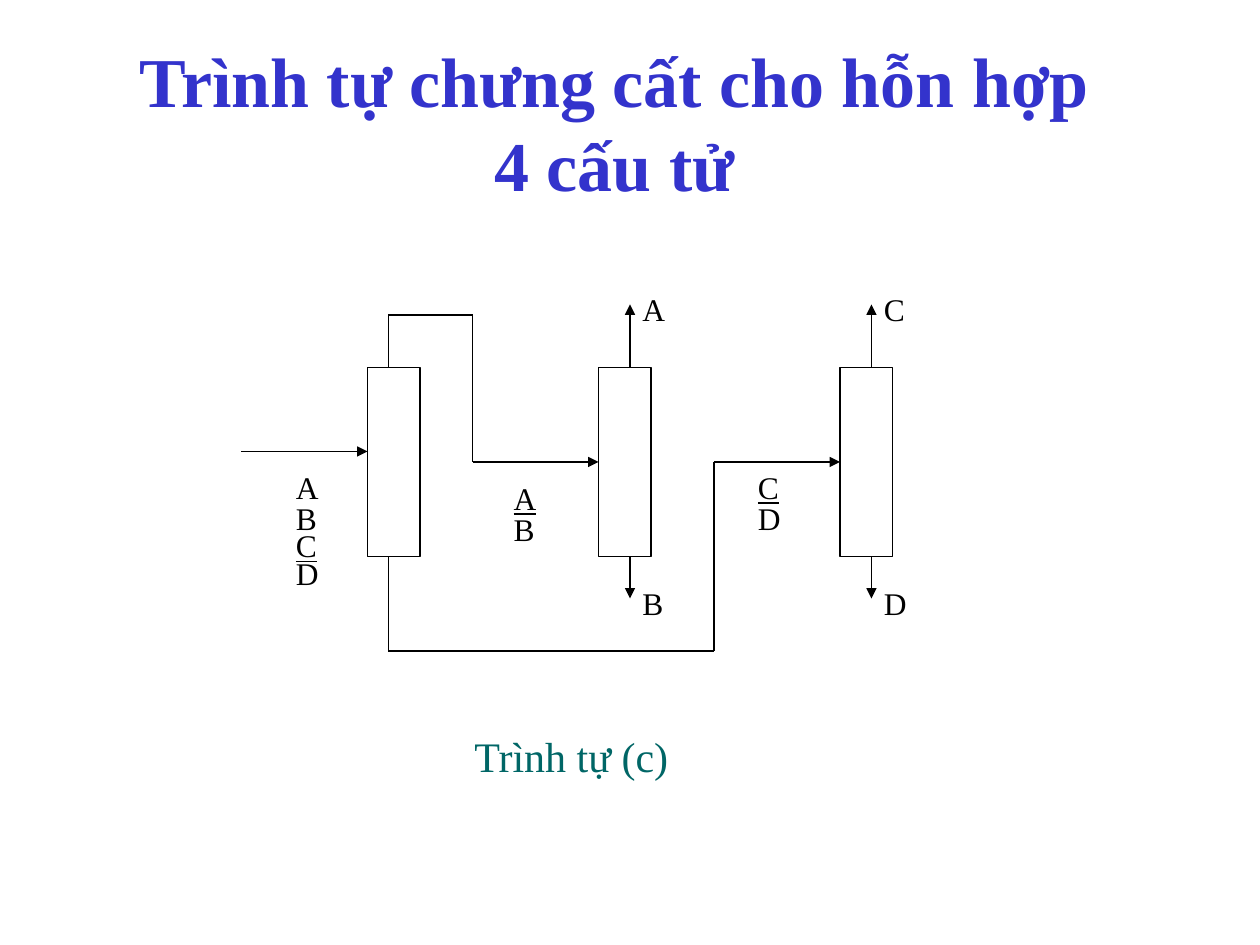
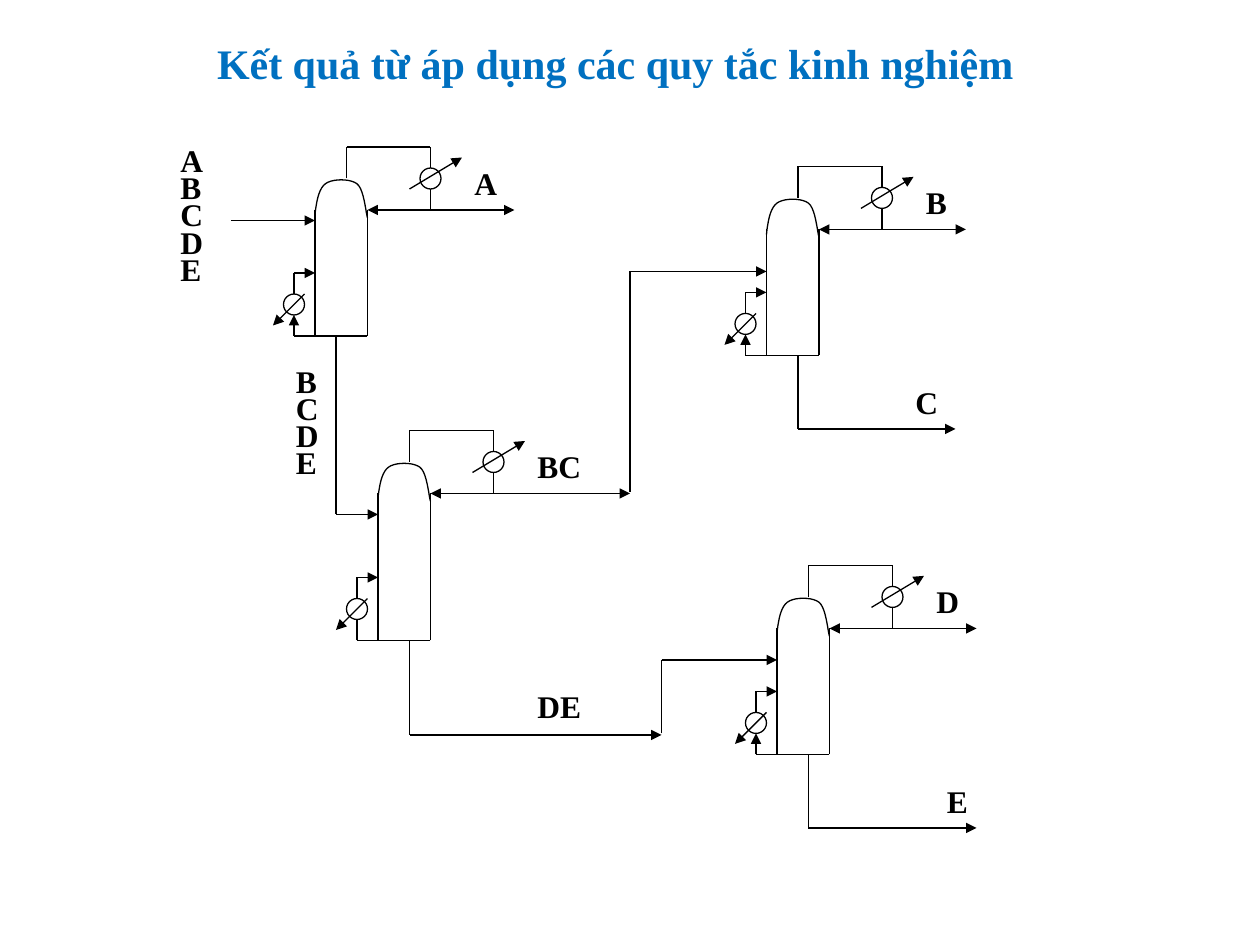
from dataclasses import dataclass
from itertools import pairwise

from lxml.etree import SubElement
from pptx import Presentation
from pptx.dml.color import RGBColor
from pptx.enum.shapes import MSO_CONNECTOR, MSO_SHAPE
from pptx.enum.text import MSO_ANCHOR, MSO_AUTO_SIZE, PP_ALIGN
from pptx.oxml.ns import qn
from pptx.util import Inches, Pt

GRID_COLS, GRID_ROWS = 120, 90
TITLE_ONLY = 5


@dataclass(frozen=True)
class Theme:
    font: str = "Times New Roman"
    ink: str = "000000"
    paper: str = "FFFFFF"
    heading: str = "3333CC"
    result: str = "0070C0"
    caption: str = "006666"
    heading_size: int = 40
    caption_size: int = 24
    label_size: int = 18
    line_width: float = 0.75
    stack_gap: int = 9
    stack_spacing: float = 0.3


def bezier(start, control_1, control_2, end, steps=10):
    """Points after start along a cubic curve."""
    curve = []
    for step in range(1, steps + 1):
        t = step / steps
        weights = ((1 - t) ** 3, 3 * t * (1 - t) ** 2, 3 * t * t * (1 - t), t ** 3)
        curve.append(tuple(
            sum(weight * value for weight, value in zip(weights, values))
            for values in zip(start, control_1, control_2, end)))
    return curve


class Flowsheet:
    """Draws on the current slide, in columns and rows of the grid."""

    def __init__(self, theme):
        self.theme = theme
        self.deck = Presentation()
        self.deck.slide_width, self.deck.slide_height = Inches(10), Inches(7.5)
        self.cell_width = self.deck.slide_width / GRID_COLS
        self.cell_height = self.deck.slide_height / GRID_ROWS
        self.slide = None

    def place(self, *lengths):
        """Turn alternating columns and rows into slide lengths."""
        cells = (self.cell_width, self.cell_height)
        return [round(length * cells[i % 2]) for i, length in enumerate(lengths)]

    def new_slide(self, title, box, size, color, wrap=True):
        layout = self.deck.slide_layouts[TITLE_ONLY]
        self.slide = self.deck.slides.add_slide(layout)
        heading = self.slide.shapes.title
        heading.left, heading.top, heading.width, heading.height = self.place(*box)
        self.set_lines(heading.text_frame, [title], size, color, bold=True, wrap=wrap)
        heading.text_frame.paragraphs[0].alignment = PP_ALIGN.CENTER

    def set_lines(self, frame, lines, size, color, bold=False, wrap=True, underlined=None):
        frame_format = {"word_wrap": wrap, "vertical_anchor": MSO_ANCHOR.TOP,
                        "auto_size": MSO_AUTO_SIZE.SHAPE_TO_FIT_TEXT}
        for name, value in frame_format.items():
            setattr(frame, name, value)
        for i, line in enumerate(lines):
            paragraph = frame.paragraphs[0] if i == 0 else frame.add_paragraph()
            run = paragraph.add_run()
            run.text = line
            font_format = {"name": self.theme.font, "size": Pt(size), "bold": bold,
                           "underline": line == underlined}
            for name, value in font_format.items():
                setattr(run.font, name, value)
            run.font.color.rgb = RGBColor.from_string(color)
            if i:
                paragraph.space_before = Pt(self.theme.stack_gap)
                paragraph.line_spacing = self.theme.stack_spacing

    def text(self, words, x, y, width=7, height=4.8, size=None, color=None, bold=False):
        box = self.slide.shapes.add_textbox(*self.place(x, y, width, height))
        self.set_lines(box.text_frame, [words], size or self.theme.label_size,
                       color or self.theme.ink, bold)

    def stack(self, letters, x, y, height, underlined=None, bold=False, tight=False):
        """One letter per line; tight also squeezes the first line."""
        box = self.slide.shapes.add_textbox(*self.place(x, y, 5, height))
        self.set_lines(box.text_frame, letters, self.theme.label_size, self.theme.ink,
                       bold, underlined=underlined)
        if tight:
            box.text_frame.paragraphs[0].line_spacing = self.theme.stack_spacing

    def outline(self, item):
        item.line.color.rgb = RGBColor.from_string(self.theme.ink)
        item.line.width = Pt(self.theme.line_width)

    def shape(self, kind, x, y, width, height):
        item = self.slide.shapes.add_shape(kind, *self.place(x, y, width, height))
        item.shadow.inherit = False
        item.fill.solid()
        item.fill.fore_color.rgb = RGBColor.from_string(self.theme.paper)
        self.outline(item)

    def pipe(self, *points, arrow=True, arrow_back=False):
        """Straight segments through the points, with arrows at the outer ends."""
        segments = list(pairwise(points))
        for i, (start, end) in enumerate(segments):
            segment = self.slide.shapes.add_connector(
                MSO_CONNECTOR.STRAIGHT, *self.place(*start, *end))
            self.outline(segment)
            properties = segment.element.spPr
            ends = {"a:headEnd": arrow_back and i == 0,
                    "a:tailEnd": arrow and i == len(segments) - 1}
            for tag, shown in ends.items():
                if shown:
                    SubElement(properties.find(qn("a:ln")), qn(tag), type="triangle")
            SubElement(properties, qn("a:effectLst"))

    def dome(self, x, y):
        knots = [(0, 3.5), (0.13, 2.3), (0.33, 1), (1, 0.5), (1.67, 0), (3.33, 0),
                 (4, 0.5), (4.67, 1), (4.83, 3.1), (5, 3.75)]
        curve = [knots[0]]
        for i in range(0, 9, 3):
            curve += bezier(*knots[i:i + 4])
        points = [tuple(self.place(x + dx, y + dy)) for dx, dy in curve]
        builder = self.slide.shapes.build_freeform(*points[0])
        builder.add_line_segments(points[1:], close=False)
        cap = builder.convert_to_shape()
        cap.shadow.inherit = False
        cap.fill.background()
        self.outline(cap)

    def tower(self, x, shoulder, base, distillate, run=19, reboiler_arrow=True):
        """Column with condenser, reboiler and distillate line."""
        right, drum, boiler = x + 5, x + 11, x - 2
        self.pipe((x, shoulder), (x, base), (right, base), (right, shoulder), arrow=False)
        self.dome(x, shoulder - 3)

        self.pipe((x, base), (boiler, base), (boiler, base - 2), arrow=reboiler_arrow)
        self.shape(MSO_SHAPE.OVAL, boiler - 1, base - 4, 2, 2)
        self.pipe((boiler, base - 4), (boiler, base - 6), (x, base - 6))
        self.pipe((boiler + 1, base - 4), (boiler - 2, base - 1))

        self.pipe((x + 3, shoulder - 3), (x + 3, shoulder - 6), (drum, shoulder - 6),
                  (drum, shoulder - 4), arrow=False)
        self.shape(MSO_SHAPE.OVAL, drum - 1, shoulder - 4, 2, 2)
        self.pipe((drum, shoulder - 2), (drum, shoulder), arrow=False)
        self.pipe((drum - 2, shoulder - 2), (drum + 3, shoulder - 5))
        self.pipe((right, shoulder), (x + run, shoulder), arrow_back=True)
        self.text(distillate, x + 14, shoulder - 5, bold=True)


def draw_four_component_sequence(sheet):
    theme = sheet.theme
    sheet.new_slide("Trình tự chưng cất cho hỗn hợp 4 cấu tử", (10, 3, 97, 17.4),
                    theme.heading_size, theme.heading)
    top, bottom = 35, 53
    for x in (35, 57, 80):
        sheet.shape(MSO_SHAPE.RECTANGLE, x, top, 5, bottom - top)
    for x, light, heavy in ((60, "A", "B"), (83, "C", "D")):
        sheet.pipe((x, top), (x, 29))
        sheet.pipe((x, bottom), (x, 57))
        sheet.text(light, x, 27)
        sheet.text(heavy, x, 55)

    sheet.pipe((23, 43), (35, 43))
    sheet.pipe((37, top), (37, 30), (45, 30), (45, 44), (57, 44))
    sheet.pipe((37, bottom), (37, 62), (68, 62), (68, 44), (80, 44))
    sheet.stack("ABCD", 27, 44, 13.4, underlined="C")
    sheet.stack("AB", 47.75, 45, 7.7, underlined="A")
    sheet.stack("CD", 71, 44, 7.7, underlined="C")
    sheet.text("Trình tự (c)", 44, 69, 33, 6, theme.caption_size, theme.caption)


def draw_heuristic_result(sheet):
    theme = sheet.theme
    sheet.new_slide("Kết quả từ áp dụng các quy tắc kinh nghiệm", (19.1, 3, 79, 6),
                    theme.caption_size, theme.result, wrap=False)
    sheet.tower(30, 20, 32, "A")
    sheet.tower(36, 47, 61, "BC", run=24, reboiler_arrow=False)
    sheet.tower(73, 21.85, 33.85, "B")
    sheet.tower(74, 59.85, 71.85, "D")

    sheet.pipe((22, 21), (30, 21))
    sheet.pipe((32, 32), (32, 49), (36, 49))
    sheet.pipe((60, 46.85), (60, 25.85), (73, 25.85))
    sheet.pipe((63, 69.85), (63, 62.85), (74, 62.85))
    for x, base, outlet, end in ((39, 61, 70, 63), (76, 33.85, 40.85, 91),
                                 (77, 71.85, 78.85, 93)):
        sheet.pipe((x, base), (x, outlet), (end, outlet))
    for heavy, x, y in (("DE", 50, 64.85), ("C", 86, 35.85), ("E", 89, 73.85)):
        sheet.text(heavy, x, y, bold=True)
    sheet.stack("ABCDE", 16, 15, 14.4, bold=True, tight=True)
    sheet.stack("BCDE", 27, 36, 11.5, bold=True, tight=True)


def main():
    sheet = Flowsheet(Theme())
    draw_four_component_sequence(sheet)
    draw_heuristic_result(sheet)
    sheet.deck.save("out.pptx")


if __name__ == "__main__":
    main()
